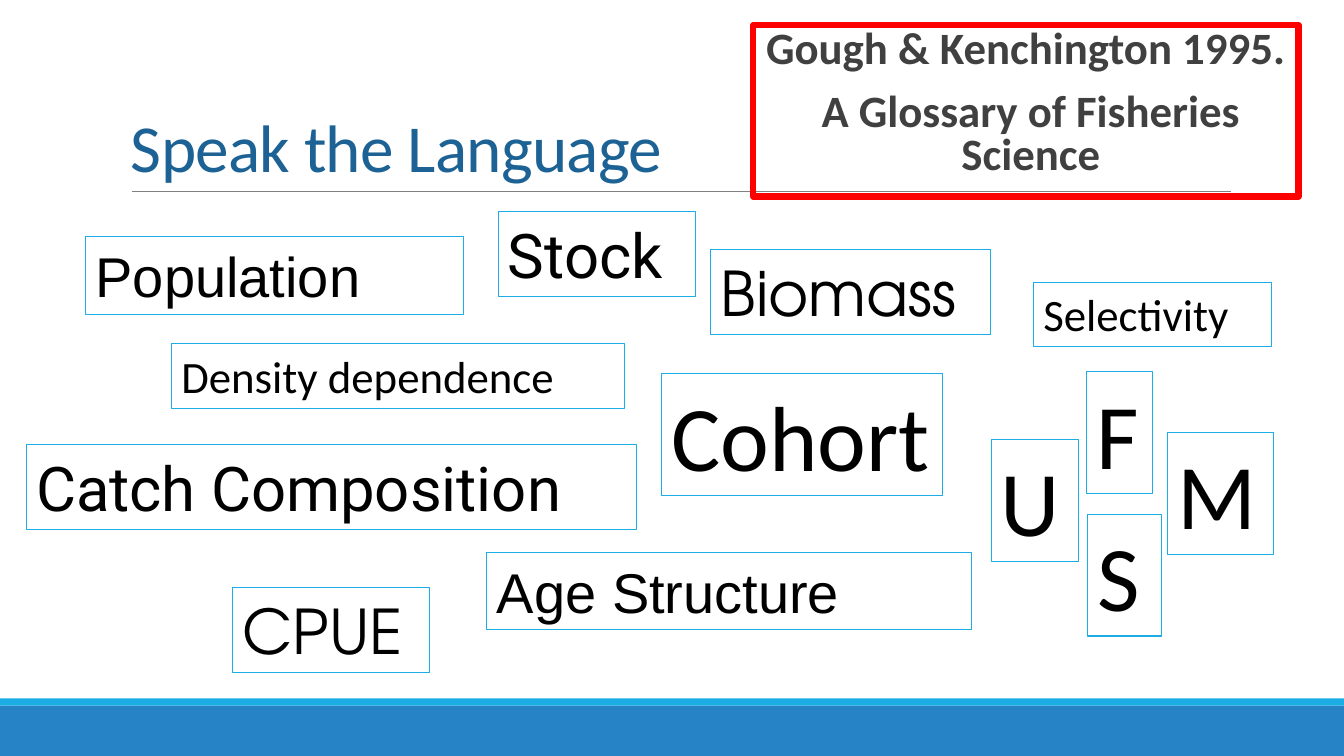
from lxml.etree import SubElement
from pptx import Presentation
from pptx.dml.color import RGBColor
from pptx.enum.shapes import MSO_CONNECTOR, MSO_SHAPE
from pptx.enum.text import MSO_ANCHOR, MSO_AUTO_SIZE, PP_ALIGN
from pptx.oxml.ns import qn
from pptx.util import Inches, Pt

COLORS = {
    "title": "1D6294",
    "citation": "404040",
    "word": "000000",
    "frame": "FF0000",
    "accent": "1CADE4",
    "footer": "2683C6",
    "rule": "808080",
}

WORD_STYLES = {
    "plain": ("Arial", 40, 0.77),
    "modern": ("Roboto", 44, 0.84),
    "round": ("TeX Gyre Adventor", 44, 0.84),
    "small": ("Calibri", 32, 0.64),
    "large": ("Calibri", 66, 1.21),
}

WORDS = [
    ("Population", "plain", 0.85, 2.35, 3.75),
    ("Stock", "modern", 4.94, 2.1, 1.96),
    ("Cohort", "large", 6.56, 3.71, 2.79),
    ("Biomass", "round", 7.05, 2.48, 2.77),
    ("Density dependence", "small", 1.7, 3.41, 4.49),
    ("M", "large", 11.58, 4.29, 1.05),
    ("F", "large", 10.78, 3.69, 0.65),
    ("S", "large", 10.79, 5.1, 0.73),
    ("U", "large", 9.83, 4.36, 0.87),
    ("Age Structure", "plain", 4.83, 5.48, 4.81),
    ("Catch Composition", "modern", 0.26, 4.41, 6.05),
    ("CPUE", "round", 2.31, 5.83, 1.95),
    ("Selectivity", "small", 10.25, 2.8, 2.36),
]


def color(name):
    return RGBColor.from_string(COLORS[name])


def write(paragraph, text, font="Calibri", size=32, ink="word", bold=False,
          align=PP_ALIGN.LEFT, line_spacing=None, before=0, after=0,
          margin=0, tracking=0):
    properties = paragraph._p.get_or_add_pPr()
    properties.set("marL", str(Inches(margin)))
    paragraph.alignment = align
    paragraph.line_spacing = line_spacing
    paragraph.space_before = Pt(before)
    paragraph.space_after = Pt(after)
    run = paragraph.add_run()
    run.text = text
    run.font.name = font
    run.font.size = Pt(size)
    run.font.bold = bold
    run.font.color.rgb = color(ink)
    if tracking:
        run._r.get_or_add_rPr().set("spc", str(round(tracking * 100)))


class GlossarySlide:
    def __init__(self, presentation):
        self.slide = presentation.slides.add_slide(presentation.slide_layouts[6])
        self.shapes = self.slide.shapes

    def band(self, top, height, fill):
        shape = self.shapes.add_shape(
            MSO_SHAPE.RECTANGLE, 0, Inches(top), Inches(13.33), Inches(height))
        shape.shadow.inherit = False
        shape.fill.solid()
        shape.fill.fore_color.rgb = color(fill)
        shape.line.fill.background()

    def rule(self, left, right, top):
        line = self.shapes.add_connector(
            MSO_CONNECTOR.STRAIGHT, Inches(left), Inches(top), Inches(right), Inches(top))
        line.line.color.rgb = color("rule")
        line.line.width = Pt(0.5)
        SubElement(line._element.spPr, qn("a:effectLst"))

    def box(self, left, top, width, height, line=None, weight=0.75):
        shape = self.shapes.add_textbox(
            Inches(left), Inches(top), Inches(width), Inches(height))
        shape.text_frame.word_wrap = True
        if line:
            shape.line.color.rgb = color(line)
            shape.line.width = Pt(weight)
        return shape.text_frame

    def title(self, text):
        frame = self.box(1.2, 0.31, 11, 1.59)
        frame.vertical_anchor = MSO_ANCHOR.BOTTOM
        write(frame.paragraphs[0], text, size=48, ink="title",
              line_spacing=0.85, tracking=-0.5)

    def citation(self, lines):
        frame = self.box(7.47, 0.25, 5.41, 1.7, line="frame", weight=4.5)
        frame.margin_left = frame.margin_right = 0
        for index, text in enumerate(lines):
            paragraph = frame.add_paragraph() if index else frame.paragraphs[0]
            write(paragraph, text, ink="citation", bold=True, align=PP_ALIGN.CENTER,
                  line_spacing=0.8, before=12 if index else 0, after=2, margin=0.1)

    def word(self, text, style, left, top, width):
        font, size, height = WORD_STYLES[style]
        frame = self.box(left, top, width, height, line="accent")
        frame.word_wrap = style == "plain"
        frame.auto_size = MSO_AUTO_SIZE.SHAPE_TO_FIT_TEXT
        write(frame.paragraphs[0], text, font=font, size=size)


def main():
    presentation = Presentation()
    presentation.slide_width = Inches(13.33)
    presentation.slide_height = Inches(7.5)
    glossary = GlossarySlide(presentation)
    glossary.band(7, 0.5, "footer")
    glossary.band(6.93, 0.07, "accent")
    glossary.rule(1.31, 12.21, 1.9)
    glossary.title("Speak the Language")
    glossary.citation(["Gough & Kenchington 1995. ", "A Glossary of Fisheries Science"])
    for entry in WORDS:
        glossary.word(*entry)
    presentation.save("out.pptx")


if __name__ == "__main__":
    main()
